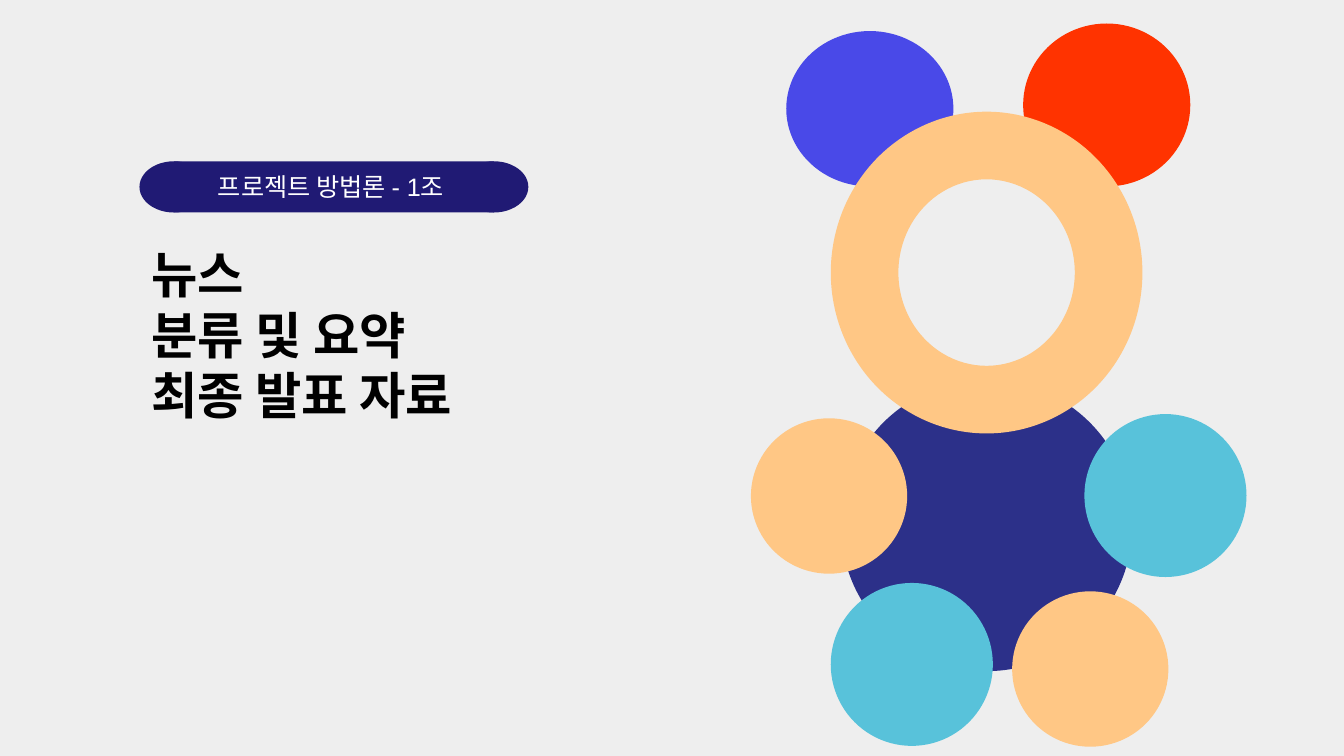
import pptx
import pptx.dml.color
import pptx.enum.shapes
import pptx.enum.text
import pptx.util

RGBColor = pptx.dml.color.RGBColor
SHAPE = pptx.enum.shapes.MSO_SHAPE

BACKGROUND = RGBColor(0xEE, 0xEE, 0xEE)
RED = RGBColor(0xFF, 0x33, 0x00)
BLUE = RGBColor(0x49, 0x49, 0xE8)
NAVY = RGBColor(0x2C, 0x30, 0x89)
INDIGO = RGBColor(0x20, 0x1A, 0x74)
TEAL = RGBColor(0x58, 0xC2, 0xDA)
PEACH = RGBColor(0xFF, 0xC7, 0x85)
BLACK = RGBColor(0x00, 0x00, 0x00)
WHITE = RGBColor(0xFF, 0xFF, 0xFF)

FONT = "Arial"
COLUMNS, ROWS = 160, 90
SLIDE_WIDTH = pptx.util.Inches(13.33)
SLIDE_HEIGHT = pptx.util.Inches(7.5)

EAR_WIDTH = 19.9
TEAL_SIZE = (19.3, 19.4)
PEACH_SIZE = (18.6, 18.5)


def place(left, top, width, height):
    """Turn grid columns and rows into slide lengths."""
    column, row = SLIDE_WIDTH / COLUMNS, SLIDE_HEIGHT / ROWS
    return [round(length) for length in
            (left * column, top * row, width * column, height * row)]


def add_solid(shapes, kind, color, left, top, width, height):
    shape = shapes.add_shape(kind, *place(left, top, width, height))
    shape.shadow.inherit = False
    shape.fill.solid()
    shape.fill.fore_color.rgb = color
    shape.line.fill.background()
    return shape


def add_run(paragraph, text, size, color, bold=False):
    run = paragraph.add_run()
    run.text = text
    run.font.name = FONT
    run.font.size = pptx.util.Pt(size)
    run.font.bold = bold
    run.font.color.rgb = color


def add_title(slide, lines, left, top, width, height):
    frame = slide.shapes.add_textbox(*place(left, top, width, height)).text_frame
    frame.word_wrap = True
    frame.auto_size = pptx.enum.text.MSO_AUTO_SIZE.SHAPE_TO_FIT_TEXT
    for index, line in enumerate(lines):
        paragraph = frame.add_paragraph() if index else frame.paragraphs[0]
        add_run(paragraph, line, 36, BLACK, bold=True)


def add_pill(slide, text, left, top, width, height, cap_width):
    """Group two round caps under a bar that carries the text."""
    shapes = slide.shapes.add_group_shape().shapes
    for cap_left in (left + width - cap_width, left):
        add_solid(shapes, SHAPE.OVAL, INDIGO, cap_left, top, cap_width, height)
    bar = add_solid(shapes, SHAPE.RECTANGLE, INDIGO, left + cap_width / 2, top,
                    width - cap_width, height)
    bar.text_frame.word_wrap = True
    bar.text_frame.vertical_anchor = pptx.enum.text.MSO_ANCHOR.MIDDLE
    paragraph = bar.text_frame.paragraphs[0]
    paragraph.alignment = pptx.enum.text.PP_ALIGN.CENTER
    add_run(paragraph, text, 18, WHITE)


def add_bear(slide):
    def circle(color, left, top, width, height):
        add_solid(slide.shapes, SHAPE.OVAL, color, left, top, width, height)

    circle(RED, 121.8, 2.8, EAR_WIDTH, 19.4)
    circle(BLUE, 93.6, 3.7, EAR_WIDTH, 18.5)
    circle(NAVY, 100.1, 45.2, 34.7, 34.7)
    head = add_solid(slide.shapes, SHAPE.DONUT, PEACH, 98.9, 13.3, 37.1, 38.3)
    head.adjustments[0] = 0.217
    for color, left, top, size in (
        (TEAL, 129.1, 49.3, TEAL_SIZE),
        (PEACH, 89.4, 49.8, PEACH_SIZE),
        (TEAL, 98.9, 69.4, TEAL_SIZE),
        (PEACH, 120.5, 70.4, PEACH_SIZE),
    ):
        circle(color, left, top, *size)


def main():
    presentation = pptx.Presentation()
    presentation.slide_width = SLIDE_WIDTH
    presentation.slide_height = SLIDE_HEIGHT
    slide = presentation.slides.add_slide(presentation.slide_layouts[6])
    slide.background.fill.solid()
    slide.background.fill.fore_color.rgb = BACKGROUND

    add_title(slide, ("뉴스", "분류 및 요약", "최종 발표 자료"), 16.8, 28.4, 45.8, 23)
    add_pill(slide, "프로젝트 방법론 - 1조 ", 16.6, 19.2, 46.3, 6.1, cap_width=8.2)
    add_bear(slide)
    presentation.save("out.pptx")


if __name__ == "__main__":
    main()
